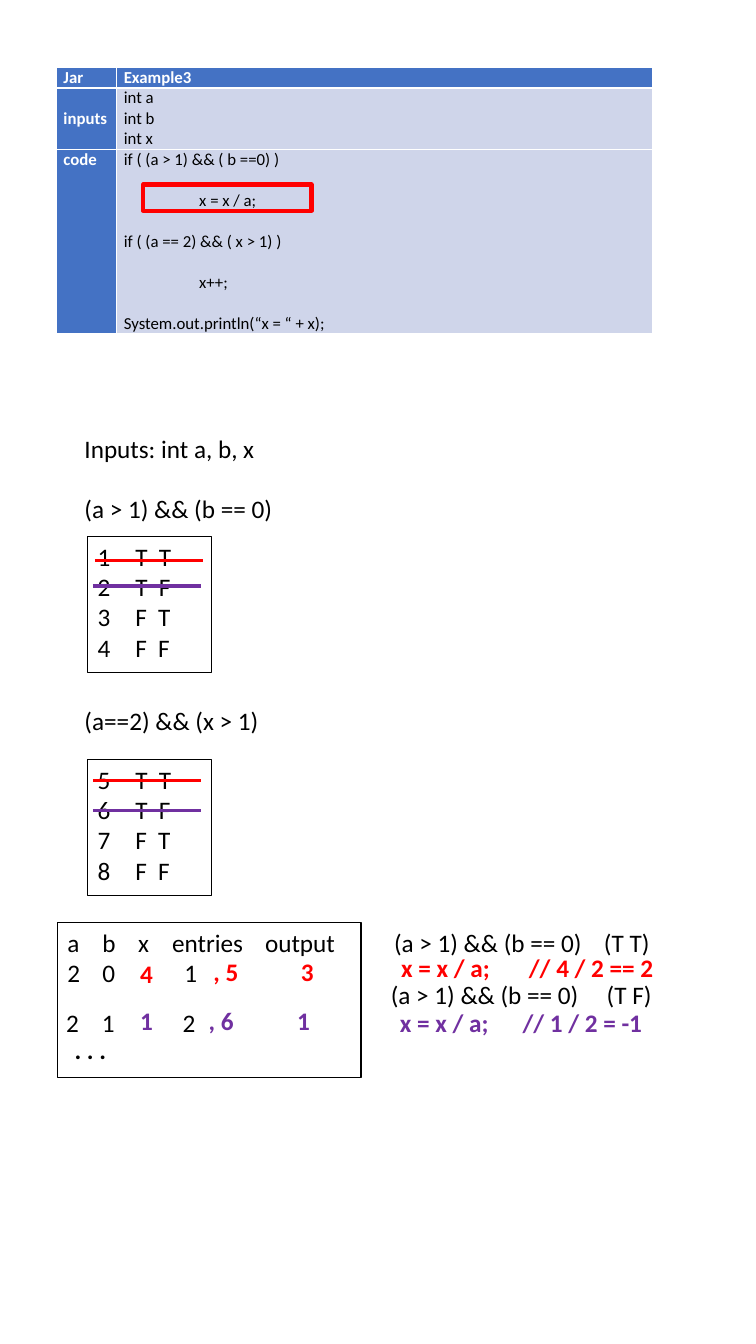
"""Build the slide on predicate coverage with its code table and test entries."""
from typing import NamedTuple

from lxml import etree
from pptx import Presentation
from pptx import util as u
from pptx.dml import color
from pptx.enum import shapes, text
from pptx.oxml import ns

FONT = "Calibri"
BLACK, WHITE, RED, PURPLE = "000000", "FFFFFF", "FF0000", "7030A0"
BLUE, PALE = "4472C4", "CFD5EA"
CODE_INDENT = 1.9
CODE_GAP = 14.65
LIST_INDENT = 0.95


class Box(NamedTuple):
    left: float
    top: float
    width: float
    height: float


class Label(NamedTuple):
    box: Box
    lines: list[str]
    colour: str = BLACK
    bold: bool = False
    tabs: list[list[float]] = []
    gaps: list[float] = []


class TruthList(NamedTuple):
    top: float
    start: int


class Strike(NamedTuple):
    left: float
    top: float
    colour: str


class CodeCell(NamedTuple):
    row: int
    column: int
    lines: list[str]
    header: bool = False


LABELS = [
    Label(Box(1.88, 10.8, 5.8, 8),
          ["Inputs: int a, b, x", "(a > 1) && (b == 0)", "(a==2) && (x > 1)"],
          gaps=[0, 21, 129.5]),
    Label(Box(9.68, 23.24, 7.65, 1.02), ["(a > 1) && (b == 0)\t(T T)"], tabs=[[5.29]]),
    Label(Box(3.28, 24.03, 0.8, 1.02), ["4"], RED, True),
    Label(Box(9.86, 23.88, 7.5, 1.02), ["x = x / a;\t// 4 / 2 == 2"], RED, True, [[3.22]]),
    Label(Box(5.13, 23.98, 3.5, 1.02), [", 5\t3"], RED, True, [[2.2]]),
    Label(Box(1.42, 25.25, 4.2, 1.02), ["2\t1\t2"], tabs=[[0.9, 2.93]]),
    Label(Box(9.6, 24.54, 7.6, 1.02), ["(a > 1) && (b == 0)\t(T F)"], tabs=[[5.44]]),
    Label(Box(3.28, 25.2, 5.2, 1.02), ["1\t, 6\t1"], PURPLE, True, [[1.73, 3.96]]),
    Label(Box(9.83, 25.25, 7.2, 1.02), ["x = x / a;\t// 1 / 2 = -1"], PURPLE, True, [[3.09]]),
    Label(Box(1.63, 25.93, 1.7, 1.02), [". . ."], bold=True),
]
ENTRIES = Label(Box(1.45, 23.24, 7.65, 3.91), ["a\tb\tx\tentries\toutput", "2\t0\t1"],
                tabs=[[0.88, 1.78, 2.64, 4.98], [0.88, 2.95]])
TRUTH_LISTS = [TruthList(13.51, 1), TruthList(19.13, 5)]
STRIKES = [Strike(2.39, 14.12, RED), Strike(2.34, 19.66, RED),
           Strike(2.34, 14.76, PURPLE), Strike(2.34, 20.42, PURPLE)]
CODE_CELLS = [
    CodeCell(0, 0, ["Jar"], True),
    CodeCell(0, 1, ["Example3"], True),
    CodeCell(1, 0, ["inputs"], True),
    CodeCell(1, 1, ["int a", "int b", "int x"]),
    CodeCell(2, 0, ["code"], True),
    CodeCell(2, 1, ["if ( (a > 1) && ( b ==0) )", "x = x / a;", "if ( (a == 2) && ( x > 1) )",
                    "x++;", "System.out.println(“x = “ + x);"]),
]


def rgb(value: str) -> color.RGBColor:
    return color.RGBColor.from_string(value)


def place(box: Box) -> list[u.Length]:
    return [u.Cm(value) for value in box]


def write(frame, lines: list[str], size: float = 18, colour: str = BLACK, bold: bool = False) -> None:
    frame.text = "\n".join(lines)
    frame.word_wrap = True
    for paragraph in frame.paragraphs:
        paragraph.alignment = text.PP_ALIGN.LEFT
        for run in paragraph.runs:
            run.font.name = FONT
            run.font.size = u.Pt(size)
            run.font.bold = bold
            run.font.color.rgb = rgb(colour)


def add_child(parent, tag: str, **attributes: str):
    return etree.SubElement(parent, ns.qn(tag), attributes)


def set_indent(paragraph, left: float, first: float = 0) -> None:
    properties = paragraph._p.get_or_add_pPr()
    properties.set("marL", str(u.Cm(left)))
    properties.set("indent", str(u.Cm(first)))


def set_tabs(paragraph, stops: list[float]) -> None:
    tab_list = add_child(paragraph._p.get_or_add_pPr(), "a:tabLst")
    for stop in stops:
        add_child(tab_list, "a:tab", pos=str(u.Cm(stop)), algn="l")


def write_label(frame, label: Label) -> None:
    write(frame, label.lines, colour=label.colour, bold=label.bold)
    for paragraph, gap in zip(frame.paragraphs, label.gaps):
        paragraph.space_before = u.Pt(gap)
    for paragraph, stops in zip(frame.paragraphs, label.tabs):
        set_tabs(paragraph, stops)


def add_frame(slide, box: Box, colour: str = BLACK, weight: float = 1):
    shape = slide.shapes.add_shape(shapes.MSO_SHAPE.RECTANGLE, *place(box))
    shape.shadow.inherit = False
    shape.fill.background()
    shape.line.color.rgb = rgb(colour)
    shape.line.width = u.Pt(weight)
    shape.text_frame.vertical_anchor = text.MSO_ANCHOR.TOP
    return shape


def add_truth_list(slide, truth: TruthList) -> None:
    frame = add_frame(slide, Box(2.21, truth.top, 3.12, 3.43)).text_frame
    write(frame, [f"{first}  {second}" for first in "TF" for second in "TF"])
    for paragraph in frame.paragraphs:
        set_indent(paragraph, LIST_INDENT, -LIST_INDENT)
        add_child(paragraph._p.get_or_add_pPr(), "a:buAutoNum",
                  type="arabicPlain", startAt=str(truth.start))


def add_strike(slide, strike: Strike) -> None:
    line = slide.shapes.add_connector(
        shapes.MSO_CONNECTOR.STRAIGHT, u.Cm(strike.left), u.Cm(strike.top),
        u.Cm(strike.left + 2.73), u.Cm(strike.top))
    line.line.color.rgb = rgb(strike.colour)
    line.line.width = u.Pt(2.5)
    add_child(line._element.spPr, "a:effectLst")


def add_code_table(slide) -> None:
    table = slide.shapes.add_table(3, 2, *place(Box(1.42, 1.7, 15.03, 6.71))).table
    table.first_col = True
    for column, width in zip(table.columns, (1.52, 13.51)):
        column.width = u.Cm(width)
    for row, height in zip(table.rows, (0.51, 1.55, 4.65)):
        row.height = u.Cm(height)
    for item in CODE_CELLS:
        cell = table.cell(item.row, item.column)
        cell.margin_left = cell.margin_right = u.Cm(0.18)
        cell.margin_top = cell.margin_bottom = 0
        cell.fill.solid()
        cell.fill.fore_color.rgb = rgb(BLUE if item.header else PALE)
        write(cell.text_frame, item.lines, 12, WHITE if item.header else BLACK, item.header)
    table.cell(1, 0).vertical_anchor = text.MSO_ANCHOR.MIDDLE
    code = table.cell(2, 1).text_frame.paragraphs
    for paragraph in code[1:]:
        paragraph.space_before = u.Pt(CODE_GAP)
    for statement in (code[1], code[3]):
        set_indent(statement, CODE_INDENT)


def main() -> None:
    presentation = Presentation()
    presentation.slide_width, presentation.slide_height = u.Cm(19.05), u.Cm(33.86)
    slide = presentation.slides.add_slide(presentation.slide_layouts[6])
    add_code_table(slide)
    for truth in TRUTH_LISTS:
        add_truth_list(slide, truth)
    write_label(add_frame(slide, ENTRIES.box).text_frame, ENTRIES)
    for label in LABELS:
        write_label(slide.shapes.add_textbox(*place(label.box)).text_frame, label)
    for strike in STRIKES:
        add_strike(slide, strike)
    add_frame(slide, Box(3.61, 4.65, 4.24, 0.66), RED, 3)
    presentation.save("out.pptx")


if __name__ == "__main__":
    main()
